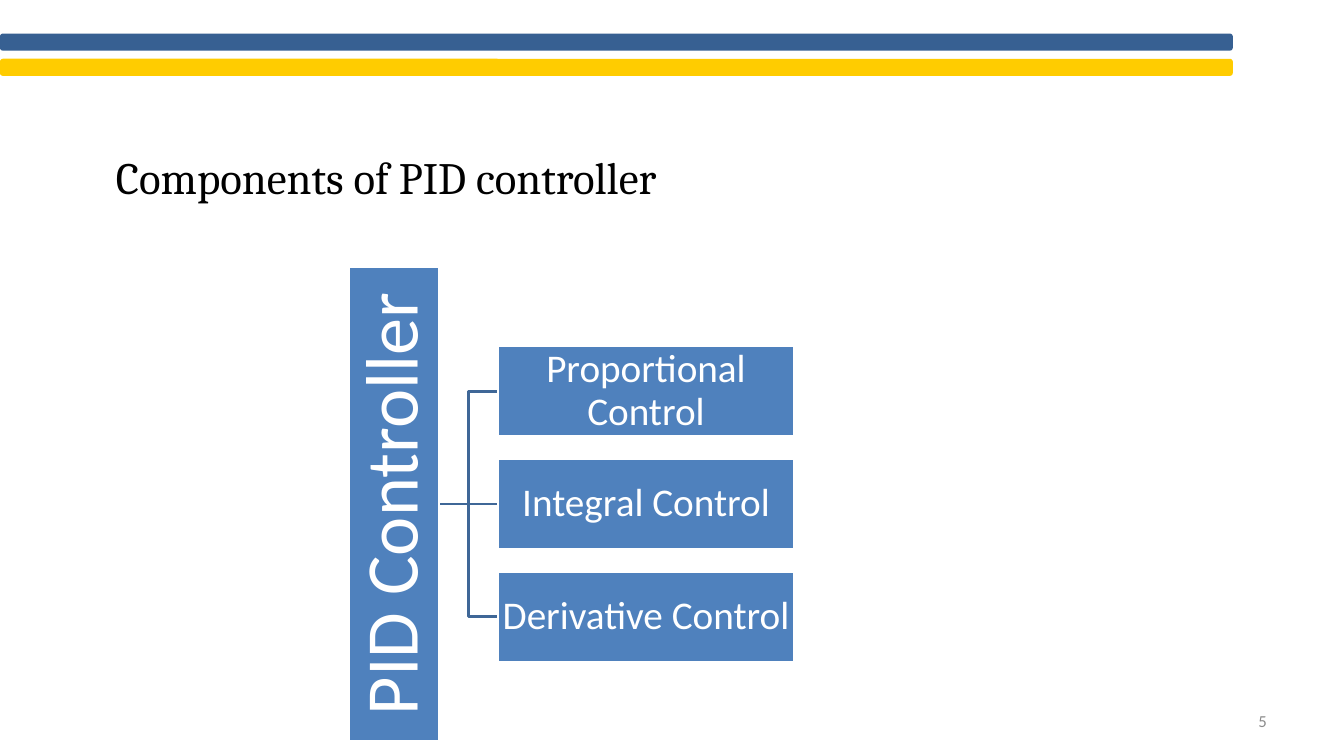
from dataclasses import dataclass

from lxml import etree
from pptx import Presentation
from pptx.dml.color import RGBColor
from pptx.enum.shapes import MSO_CONNECTOR, MSO_SHAPE
from pptx.enum.text import MSO_ANCHOR, PP_ALIGN
from pptx.oxml.ns import qn
from pptx.util import Pt

RECT, ROUND_RECT = MSO_SHAPE.RECTANGLE, MSO_SHAPE.ROUNDED_RECTANGLE
STRAIGHT = MSO_CONNECTOR.STRAIGHT
MIDDLE = MSO_ANCHOR.MIDDLE
CENTER, RIGHT = PP_ALIGN.CENTER, PP_ALIGN.RIGHT


@dataclass(frozen=True)
class Theme:
    heading_font: str = "Cambria"
    body_font: str = "Calibri"
    black: str = "000000"
    white: str = "FFFFFF"
    gray: str = "8C8C8C"
    navy: str = "376092"
    yellow: str = "FFCC00"
    box: str = "4F81BD"
    branch: str = "3F6797"
    title_size: int = 32
    root_size: int = 53
    child_size: int = 28
    number_size: int = 12
    line_width: int = 2


THEME = Theme()
CONTROLS = ["Proportional Control", "Integral Control", "Derivative Control"]

CENTER_Y = 360
BOX_H = 64.8
ROOT_LENGTH = 339.1
ROOT_X = 281.2
ROOT_RIGHT = ROOT_X + BOX_H / 2
CHILD_X, CHILD_W, CHILD_PITCH = 355.7, 211.5, 80.6


def color(value):
    return RGBColor.from_string(value)


def set_text(sp, text, font, size, rgb, align, inset=None, spacing=None):
    tf = sp.text_frame
    tf.word_wrap = True
    tf.vertical_anchor = MIDDLE
    if inset is not None:
        tf.margin_left = tf.margin_right = Pt(inset)
        tf.margin_top = tf.margin_bottom = Pt(inset)
    p = tf.paragraphs[0]
    p.text = text
    p.alignment = align
    p.line_spacing = spacing
    r = p.runs[0]
    r.font.name = font
    r.font.size = Pt(size)
    r.font.color.rgb = color(rgb)


def add_label(slide, bounds, text, font, size, rgb, align):
    sp = slide.shapes.add_textbox(*map(Pt, bounds))
    set_text(sp, text, font, size, rgb, align)


def add_bar(slide, top, fill):
    sp = slide.shapes.add_shape(ROUND_RECT, 0, Pt(top), Pt(880.6), Pt(12.2))
    sp.shadow.inherit = False
    sp.fill.solid()
    sp.fill.fore_color.rgb = color(fill)
    sp.line.fill.background()


def add_box(slide, left, width, center_y, text, size, inset, rotation=0):
    sp = slide.shapes.add_shape(
        RECT, Pt(left), Pt(center_y - BOX_H / 2), Pt(width), Pt(BOX_H))
    sp.rotation = rotation
    sp.shadow.inherit = False
    sp.fill.solid()
    sp.fill.fore_color.rgb = color(THEME.box)
    sp.line.color.rgb = color(THEME.white)
    sp.line.width = Pt(THEME.line_width)
    set_text(sp, text, THEME.body_font, size, THEME.white, CENTER, inset, 0.9)


def add_branch(slide, child_y):
    """Line from the root to a child, bent halfway unless they are level."""
    if child_y == CENTER_Y:
        sp = slide.shapes.add_connector(
            STRAIGHT, Pt(ROOT_RIGHT), Pt(CENTER_Y), Pt(CHILD_X), Pt(CENTER_Y))
        etree.SubElement(sp._element.spPr, qn("a:effectLst"))
    else:
        bend_x = (ROOT_RIGHT + CHILD_X) / 2
        builder = slide.shapes.build_freeform(Pt(ROOT_RIGHT), Pt(CENTER_Y))
        corners = [(bend_x, CENTER_Y), (bend_x, child_y), (CHILD_X, child_y)]
        builder.add_line_segments(
            [(Pt(x), Pt(y)) for x, y in corners], close=False)
        sp = builder.convert_to_shape()
        sp.shadow.inherit = False
        sp.fill.background()
    sp.line.color.rgb = color(THEME.branch)
    sp.line.width = Pt(THEME.line_width)


def add_hierarchy(slide):
    middle = (len(CONTROLS) - 1) / 2
    children = [(name, CENTER_Y + (i - middle) * CHILD_PITCH)
                for i, name in enumerate(CONTROLS)]
    for _, y in children:
        add_branch(slide, y)
    add_box(slide, ROOT_X - ROOT_LENGTH / 2, ROOT_LENGTH, CENTER_Y,
            "PID Controller", THEME.root_size, 2.9, rotation=270)
    for name, y in children:
        add_box(slide, CHILD_X, CHILD_W, y, name, THEME.child_size, 1.4)


def main():
    prs = Presentation()
    prs.slide_width, prs.slide_height = Pt(960), Pt(540)
    slide = prs.slides.add_slide(prs.slide_layouts[6])
    add_label(slide, (-36, 108, 624, 36), "Components of PID controller",
              THEME.heading_font, THEME.title_size, THEME.black, CENTER)
    add_label(slide, (688, 500.5, 224, 28.8), "5",
              THEME.body_font, THEME.number_size, THEME.gray, RIGHT)
    add_bar(slide, 24, THEME.navy)
    add_bar(slide, 42, THEME.yellow)
    add_hierarchy(slide)
    prs.save("out.pptx")


if __name__ == "__main__":
    main()
